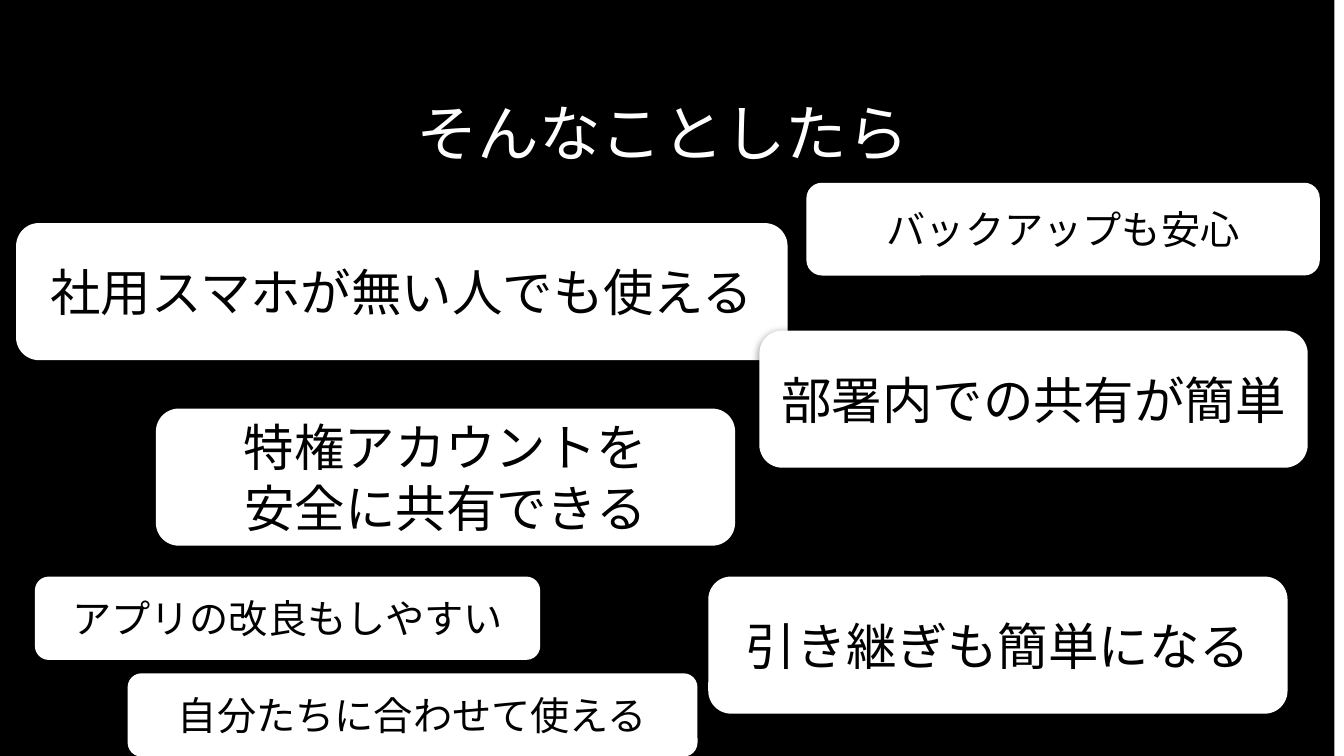
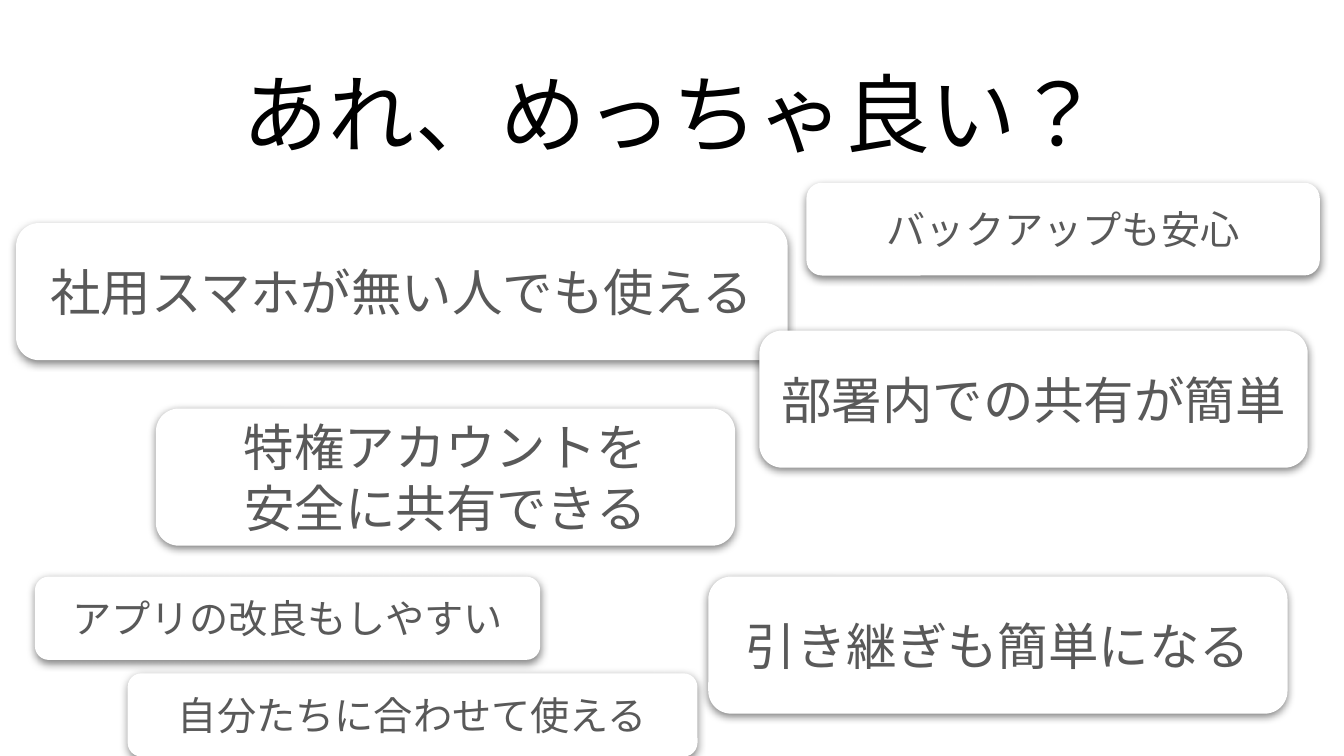
from lxml import etree
from pptx import Presentation
from pptx.dml.color import RGBColor
from pptx.enum.lang import MSO_LANGUAGE_ID
from pptx.enum.shapes import MSO_SHAPE
from pptx.enum.text import MSO_ANCHOR, PP_ALIGN
from pptx.oxml.ns import qn
from pptx.util import Inches, Pt

RECTANGLE, ROUNDED = MSO_SHAPE.RECTANGLE, MSO_SHAPE.ROUNDED_RECTANGLE
MIDDLE, CENTER = MSO_ANCHOR.MIDDLE, PP_ALIGN.CENTER
JAPANESE = MSO_LANGUAGE_ID.JAPANESE

BLACK = RGBColor(0x00, 0x00, 0x00)
WHITE = RGBColor(0xFF, 0xFF, 0xFF)
GRAY = RGBColor(0x59, 0x59, 0x59)
FONT = "Arial"
LARGE, SMALL = 27, 21
MARGIN = Inches(0.1)
SLIDE_WIDTH = Inches(10)
SLIDE_HEIGHT = SLIDE_WIDTH * 9 // 16

# Benefit cards, back to front: text, size, (left, top, width, height)
CARDS = [
    ("社用スマホが無い人でも使える", LARGE, (0.12, 1.66, 5.74, 1.02)),
    ("部署内での共有が簡単", LARGE, (5.65, 2.46, 4.08, 1.02)),
    ("特権アカウントを\n安全に共有できる", LARGE, (1.16, 3.04, 4.31, 1.02)),
    ("引き継ぎも簡単になる", LARGE, (5.27, 4.29, 4.31, 1.02)),
    ("アプリの改良もしやすい", SMALL, (0.26, 4.29, 3.76, 0.62)),
    ("バックアップも安心", SMALL, (6, 1.36, 3.82, 0.69)),
    ("自分たちに合わせて使える", SMALL, (0.95, 5.01, 4.24, 0.62)),
]

SLIDES = [
    {"title": "そんなことしたら", "title_box": (2.13, 0.31, 5.6, 1.34),
     "title_size": 33, "title_color": WHITE, "card_color": BLACK,
     "backdrop": (-0.07, 0, 10, 5.74)},
    {"title": "あれ、めっちゃ良い？", "title_box": (1.59, 0.31, 6.82, 1.05),
     "title_size": 46, "title_color": BLACK, "card_color": GRAY,
     "backdrop": None},
]


def set_values(target, values):
    for name, value in values.items():
        setattr(target, name, value)


def write_text(shape, text, size, color):
    frame = shape.text_frame
    set_values(frame, {"word_wrap": True, "vertical_anchor": MIDDLE,
                       "margin_left": MARGIN, "margin_right": MARGIN,
                       "margin_top": MARGIN, "margin_bottom": MARGIN})
    paragraph = frame.paragraphs[0]
    paragraph.text = text
    paragraph.alignment = CENTER
    for run in paragraph.runs:
        set_values(run.font, {"name": FONT, "size": Pt(size),
                              "language_id": JAPANESE})
        run.font.color.rgb = color


def add_block(slide, kind, box, fill):
    shape = slide.shapes.add_shape(kind, *map(Inches, box))
    shape.fill.solid()
    shape.fill.fore_color.rgb = fill
    shape.line.fill.background()
    shape.shadow.inherit = False
    return shape


def add_soft_shadow(shape):
    effects = shape._element.spPr.find(qn("a:effectLst"))
    shadow = etree.SubElement(effects, qn("a:outerShdw"), {
        "blurRad": str(Pt(4.5)), "dist": str(Pt(1.5)),
        "dir": "5400000", "algn": "bl", "rotWithShape": "0"})
    color = etree.SubElement(shadow, qn("a:srgbClr"), val=str(BLACK))
    etree.SubElement(color, qn("a:alpha"), val="50000")


def add_card(slide, text, size, box, color):
    card = add_block(slide, ROUNDED, box, WHITE)
    card.adjustments[0] = 1 / 6
    add_soft_shadow(card)
    write_text(card, text, size, color)


def build_slide(presentation, content):
    slide = presentation.slides.add_slide(presentation.slide_layouts[6])
    if content["backdrop"]:
        add_block(slide, RECTANGLE, content["backdrop"], BLACK)
    title = slide.shapes.add_textbox(*map(Inches, content["title_box"]))
    write_text(title, content["title"], content["title_size"],
               content["title_color"])
    for text, size, box in CARDS:
        add_card(slide, text, size, box, content["card_color"])


def main():
    presentation = Presentation()
    presentation.slide_width = SLIDE_WIDTH
    presentation.slide_height = SLIDE_HEIGHT
    for content in SLIDES:
        build_slide(presentation, content)
    presentation.save("out.pptx")


if __name__ == "__main__":
    main()
